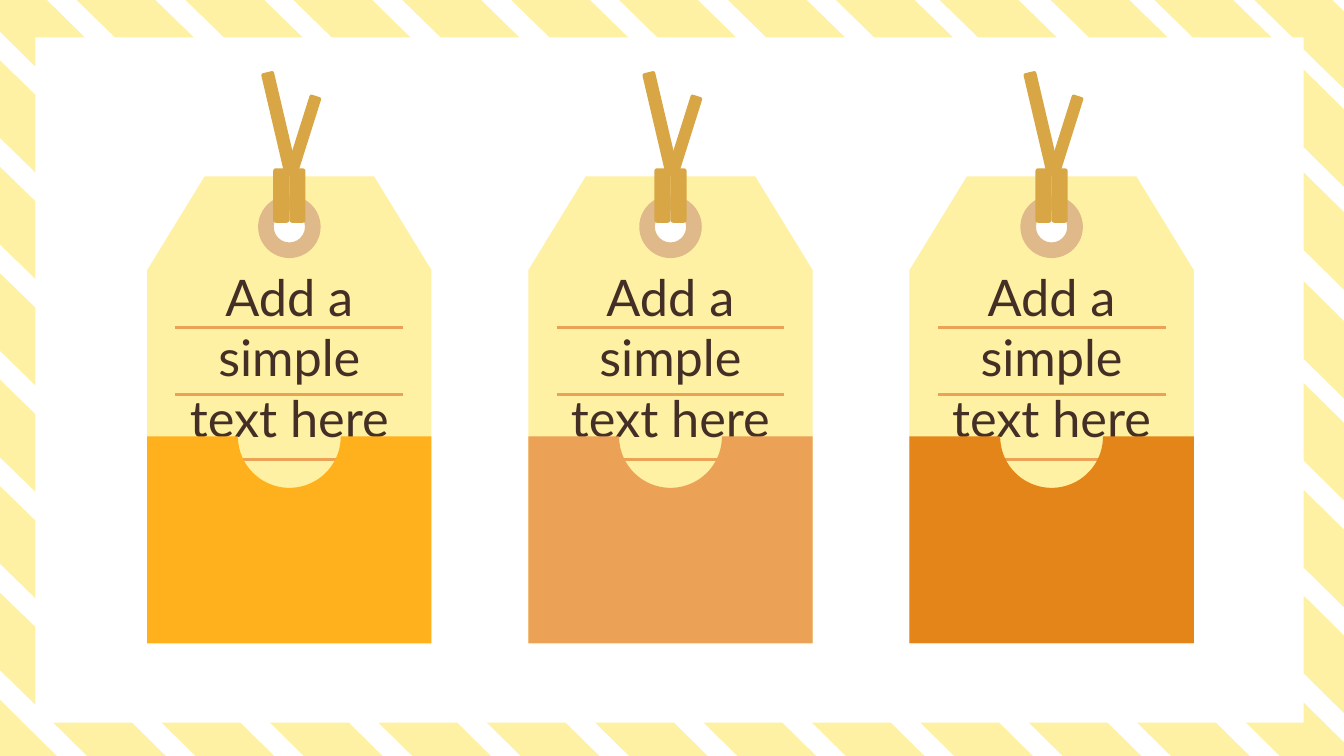
import math

from lxml import etree
from pptx import Presentation
from pptx import util as u
from pptx.dml.color import RGBColor
from pptx.enum import shapes, text
from pptx.oxml import ns

PX = u.Inches(0.01)
WHITE = RGBColor(0xFF, 0xFF, 0xFF)
CREAM = RGBColor(0xFE, 0xF1, 0xA3)
STRING = RGBColor(0xD8, 0xA6, 0x45)
EYELET = RGBColor(0xDF, 0xB9, 0x8A)
INK = RGBColor(0x43, 0x2F, 0x26)
AMBER = RGBColor(0xFF, 0xB1, 0x1D)
PEACH = RGBColor(0xEB, 0xA1, 0x56)
ORANGE = RGBColor(0xE4, 0x85, 0x19)

FIRST_TAG, TAG_PITCH, TAG_WIDTH = 146, 378, 282
TOP_STRIPES = [29, 137, 244, 352, 460, 567, 675, 782, 885, 995, 1098]
RIGHT_STRIPES = [69, 171, 279, 380, 486, 591]


def arc(x, y, radius, start, end, steps=48):
    """Points along an arc; angles in degrees, clockwise from the right."""
    angles = [math.radians(start + (end - start) * i / steps) for i in range(steps + 1)]
    return [(x + radius * math.cos(a), y + radius * math.sin(a)) for a in angles]


class Painter:
    """Draws elements in px on the slide, or inside the currently open group."""

    def __init__(self, slide):
        self.slide = slide
        self.canvas = slide.shapes

    def open_group(self):
        self.canvas = self.slide.shapes.add_group_shape().shapes

    def close_group(self):
        self.canvas = self.slide.shapes

    def paint(self, shape, color):
        shape.shadow.inherit = False
        shape.fill.solid()
        shape.fill.fore_color.rgb = color
        shape.line.fill.background()

    def preset(self, kind, x, y, width, height, color, rotation=0):
        shape = self.canvas.add_shape(kind, x * PX, y * PX, width * PX, height * PX)
        shape.rotation = rotation
        self.paint(shape, color)

    def outline(self, contours, color):
        """One filled shape made of one or more closed contours."""
        scaled = [[(round(x * PX), round(y * PX)) for x, y in c] for c in contours]
        builder = self.canvas.build_freeform(*scaled[0][0], scale=1.0)
        for index, contour in enumerate(scaled):
            if index:
                builder.move_to(*contour[0])
            builder.add_line_segments(contour[1:], close=True)
        self.paint(builder.convert_to_shape(), color)

    def rule(self, x1, x2, y, color):
        line = self.canvas.add_connector(
            shapes.MSO_CONNECTOR.STRAIGHT, x1 * PX, y * PX, x2 * PX, y * PX)
        line.line.color.rgb = color
        line.line.width = u.Pt(2.25)
        etree.SubElement(line._element.spPr, ns.qn("a:effectLst"))

    def label(self, wording, x, y, width, height):
        box = self.canvas.add_textbox(x * PX, y * PX, width * PX, height * PX)
        frame = box.text_frame
        frame.word_wrap = True
        frame.auto_size = text.MSO_AUTO_SIZE.SHAPE_TO_FIT_TEXT
        paragraph = frame.paragraphs[0]
        paragraph.text = wording
        paragraph.alignment = text.PP_ALIGN.CENTER
        paragraph.font.name = "Lato"
        paragraph.font.size = u.Pt(36)
        paragraph.font.color.rgb = INK


def striped_border(painter):
    stripes = []
    for i in range(11):
        x = 53 + 107.5 * i
        stripes.append([(x, 717), (x + 78, 717), (x + 151, 789), (x + 73, 789)])
    for i in range(6):
        y = 18 + 105.6 * i
        stripes.append([(-43, y), (35, y + 76), (35, y + 153), (-43, y + 77)])
    for y in RIGHT_STRIPES:
        stripes.append([(1293, y), (1369, y + 75), (1369, y + 152), (1293, y + 77)])
    for x in TOP_STRIPES:
        stripes.append([(x, -46), (x + 78, -46), (x + 163, 37), (x + 85, 37)])
    top_left = [(0, -46), (84, 37), (35, 37), (35, 66), (-43, -11), (-43, -46)]
    top_right = [(1197, -46), (1275, -46), (1369, 47), (1369, 123),
                 (1293, 49), (1293, 37), (1282, 37)]
    bottom_right = [(1293, 697), (1369, 772), (1369, 789), (1309, 789),
                    (1236, 717), (1293, 717)]
    bottom_left = [(-43, 652), (96, 789), (18, 789), (-43, 729)]
    painter.outline(stripes + [top_left, top_right, bottom_right, bottom_left], CREAM)


def tag(painter, left):
    right = left + TAG_WIDTH
    kinds = shapes.MSO_SHAPE
    painter.open_group()
    painter.preset(kinds.ROUNDED_RECTANGLE, left + 147, 93, 12, 95, STRING, 17.5)
    painter.preset(kinds.ROUNDED_RECTANGLE, left + 127, 70, 13, 126, STRING, 346.8)
    hole = arc(left + 140, 226, 26, 0, 360)
    body = [(left + 57, 175), (left + 225, 175), (right, 268),
            (right, 639), (left, 639), (left, 268)]
    painter.outline([hole, body], CREAM)
    painter.preset(kinds.DONUT, left + 110, 194, 62, 62, EYELET)
    for clasp in (125, 141):
        painter.preset(kinds.ROUNDED_RECTANGLE, left + clasp, 167, 16, 54, STRING)
    for y in (325, 391, 456):
        painter.rule(left + 28, left + 254, y, PEACH)
    painter.label("Add a simple text here", left + 28, 259, 226, 192)
    painter.close_group()


def pocket(painter, left, color):
    right = left + TAG_WIDTH
    notch = arc(left + 141, 433, 51, 180, 0)
    painter.outline(
        [[(left, 433), *notch, (right, 433), (right, 638), (left, 638)]], color)


def main():
    deck = Presentation()
    deck.slide_width, deck.slide_height = 1333 * PX, 750 * PX
    slide = deck.slides.add_slide(deck.slide_layouts[6])
    slide.background.fill.solid()
    slide.background.fill.fore_color.rgb = WHITE
    painter = Painter(slide)
    striped_border(painter)
    for index, color in enumerate((AMBER, PEACH, ORANGE)):
        left = FIRST_TAG + index * TAG_PITCH
        tag(painter, left)
        pocket(painter, left, color)
    deck.save("out.pptx")


if __name__ == "__main__":
    main()
